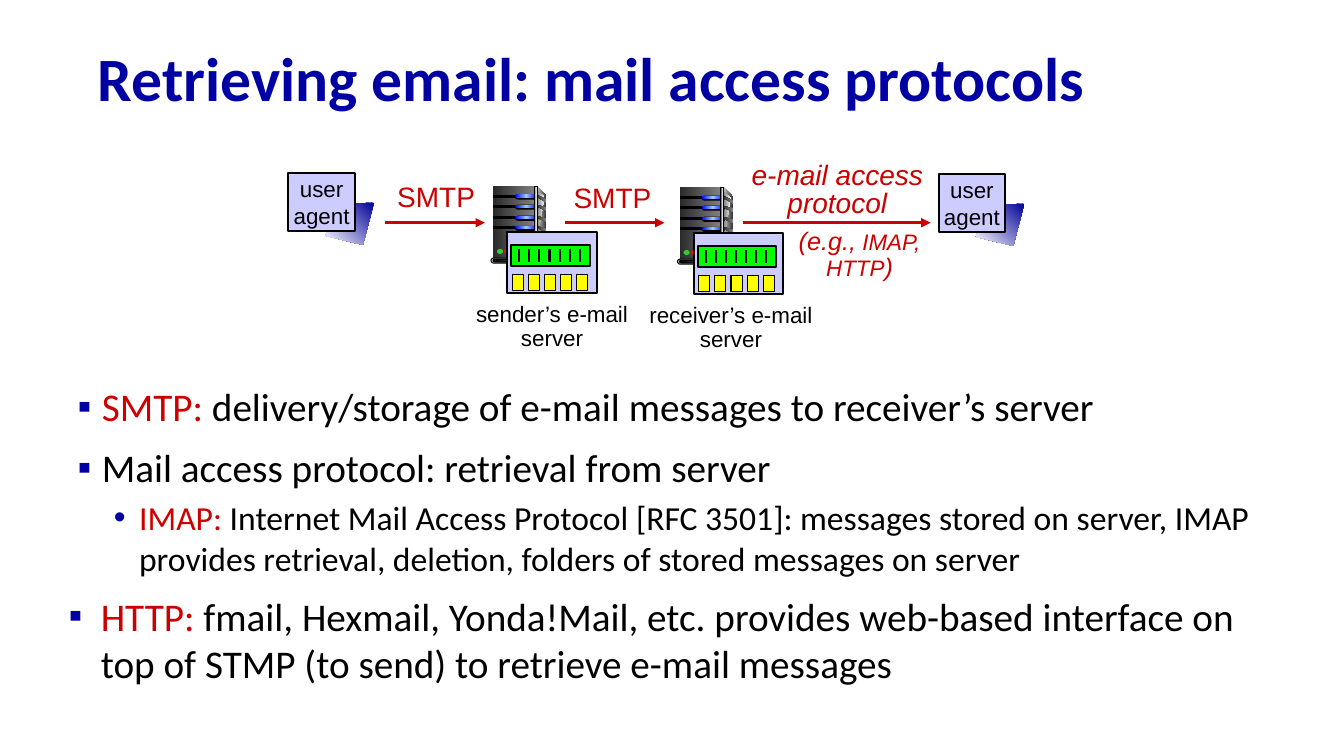
"""Build the slide on retrieving email with mail access protocols."""
from copy import deepcopy
from dataclasses import dataclass

from lxml import etree
from pptx import Presentation
from pptx.dml.color import RGBColor
from pptx.enum import shapes, text
from pptx.oxml.ns import qn
from pptx.util import Inches, Pt


@dataclass(frozen=True)
class Theme:
    """Colours, fonts and type sizes."""
    navy: str = "0000A3"
    red: str = "CC0000"
    black: str = "000000"
    lilac: str = "CCCCFF"
    green: str = "00FF00"
    yellow: str = "FFFF00"
    silver: str = "DDDDDD"
    graphite: str = "292929"
    steel: tuple = ("292929", "808080")
    side: tuple = ("DDDDDD", "333333")
    shine: tuple = ("808080", "F8F8F8")
    edge: tuple = ("333333", "DDDDDD", "333333")
    light: tuple = ("0000FF", "99CCFF", "0000FF")
    base: tuple = ("000000", "808080")
    fade: tuple = ("000099", "FFFFFF")
    heading: str = "Calibri"
    label: str = "Arial"
    title_size: int = 44
    bullet_size: int = 28
    detail_size: int = 24
    protocol_size: int = 20
    example_size: int = 18
    label_size: int = 16


THEME = Theme()
RECT = shapes.MSO_SHAPE.RECTANGLE
ROUND = shapes.MSO_SHAPE.ROUNDED_RECTANGLE
OVAL = shapes.MSO_SHAPE.OVAL

TITLE = "Retrieving email: mail access protocols"
BULLETS = [
    (0, "▪", 0.39, -0.24, "SMTP:",
     " delivery/storage of e-mail messages to receiver’s server"),
    (0, "▪", 0.39, -0.24, "", "Mail access protocol: retrieval from server"),
    (1, "•", 0.76, -0.25, "IMAP:",
     " Internet Mail Access Protocol [RFC 3501]: messages stored on server, "
     "IMAP provides retrieval, deletion, folders of stored messages on server"),
    (0, "▪", 0.38, -0.32, "HTTP: ",
     "fmail, Hexmail, Yonda!Mail, etc. provides web-based interface on "
     "top of STMP (to send) to retrieve e-mail messages"),
]
SERVERS = [(4.87, 1.85), (6.72, 1.86)]
AGENTS = [(2.86, 1.72), (9.31, 1.73)]
ARROWS = [(3.82, 4.81), (5.6, 6.59), (7.37, 9.23)]
ARROW_Y = 2.21
SERVER_LABELS = [
    ((4.55, 2.96, 1.85, 0.59), ["sender’s e-mail", "server"]),
    ((6.27, 2.97, 1.96, 0.59), ["receiver’s e-mail", "server"]),
]
SMTP_LABELS = [(3.84, 1.73, 0.97, 0.43), (5.59, 1.74, 0.97, 0.43)]
ACCESS_LABEL = ((7.33, 1.56, 1.95, 0.67), ["e-mail access", "protocol"])
EXAMPLE_BOX = (7.73, 2.23, 1.59, 0.62)
EXAMPLE_RUNS = [("(e.g.,", THEME.example_size),
                (" IMAP, HTTP", THEME.label_size), (")", THEME.example_size)]

SIDE = [(0.46, 0), (0.55, 0.09), (0.55, 0.7), (0.44, 0.73)]
SHINE = [(0.46, 0.05), (0.53, 0.1), (0.48, 0.4), (0.46, 0.71)]
SLOTS = [(0.08, 0.05), (0.18, 0.03), (0.29, 0.03), (0.39, 0.03)]
TOWER_FOOT = [
    (RECT, (0.43, 0, 0.03, 0.72), THEME.edge, 0.75),
    (ROUND, (0, 0.71, 0.47, 0.05), THEME.silver, 0.75),
    (ROUND, (0.02, 0.72, 0.42, 0.03), THEME.base, 0.75),
    (OVAL, (0.06, 0.62, 0.06, 0.05), "33CC33", 0),
    (OVAL, (0.13, 0.62, 0.06, 0.05), "FF0000", 0),
    (RECT, (0.36, 0.45, 0.03, 0.24), THEME.graphite, 0.75),
]
AGENT_SCREEN = [(0.85, 0.29), (0.45, 0.31), (0.37, 0.62), (0.74, 0.71)]


def color(value):
    return RGBColor.from_string(value)


def paint(shape, fill, line_width=0, angle=0):
    shape.shadow.inherit = False
    if isinstance(fill, str):
        shape.fill.solid()
        shape.fill.fore_color.rgb = color(fill)
    else:
        shape.fill.gradient()
        shape.fill.gradient_angle = angle
        stops = shape._element.spPr.find(".//" + qn("a:gsLst"))
        for _ in fill[2:]:
            stops.append(deepcopy(stops[-1]))
        for index, stop in enumerate(shape.fill.gradient_stops):
            stop.position = index / (len(fill) - 1)
            stop.color.rgb = color(fill[index])
    if line_width:
        shape.line.color.rgb = color(THEME.black)
        shape.line.width = Pt(line_width)
    else:
        shape.line.fill.background()


def add_part(slide, origin, kind, box, fill, line_width=0):
    left, top, width, height = box
    shape = slide.shapes.add_shape(kind, Inches(origin[0] + left), Inches(origin[1] + top),
                                   Inches(width), Inches(height))
    if kind == ROUND:
        shape.adjustments[0] = 0.5
    paint(shape, fill, line_width)
    return shape


def add_outline(slide, origin, points, fill, angle=0):
    corners = [(Inches(origin[0] + x), Inches(origin[1] + y)) for x, y in points]
    builder = slide.shapes.build_freeform(*corners[0])
    builder.add_line_segments(corners[1:], close=True)
    paint(builder.convert_to_shape(), fill, angle=angle)


def add_line(slide, start, end, line_color, width, arrow=False):
    connector = slide.shapes.add_connector(shapes.MSO_CONNECTOR.STRAIGHT,
                                           *map(Inches, start + end))
    connector.line.color.rgb = color(line_color)
    connector.line.width = Pt(width)
    properties = connector._element.spPr
    if arrow:
        etree.SubElement(properties.find(qn("a:ln")), qn("a:tailEnd"), type="triangle")
    etree.SubElement(properties, qn("a:effectLst"))


def style(font, name, size, font_color, italic=False):
    font.name, font.size, font.italic = name, Pt(size), italic
    font.color.rgb = color(font_color)


def write_lines(frame, lines, size, font_color, spacing=1.0, italic=False):
    frame.text = "\n".join(lines)
    for paragraph in frame.paragraphs:
        paragraph.alignment = text.PP_ALIGN.CENTER
        paragraph.line_spacing = spacing
        style(paragraph.font, THEME.label, size, font_color, italic)


def add_label(slide, box, wrap=False):
    frame = slide.shapes.add_textbox(*map(Inches, box)).text_frame
    frame.word_wrap = wrap
    return frame


def add_tower(slide, origin):
    add_outline(slide, origin, SIDE, THEME.side)
    add_part(slide, origin, RECT, (0.02, 0, 0.41, 0.72), THEME.steel)
    add_outline(slide, origin, SHINE, THEME.shine)
    for y, drop in SLOTS:
        add_part(slide, origin, RECT, (0.03, y + 0.01, 0.23, 0.02), THEME.black, 0.75)
        add_part(slide, origin, ROUND, (0.24, y, 0.23, 0.05), THEME.black)
        add_part(slide, origin, ROUND, (0.24, y, 0.22, 0.03), THEME.light)
        louver = [(0.45, y), (0.55, y + drop), (0.55, y + drop + 0.03), (0.45, y + 0.02)]
        add_outline(slide, origin, louver, THEME.steel)
    for kind, box, fill, line_width in TOWER_FOOT:
        add_part(slide, origin, kind, box, fill, line_width)


def add_mail_queue(slide, origin):
    add_part(slide, origin, RECT, (0.16, 0.45, 0.89, 0.61), THEME.lilac, 1.5)
    add_part(slide, origin, RECT, (0.2, 0.58, 0.78, 0.21), THEME.green, 1.5)
    for index in range(7):
        x = origin[0] + 0.28 + 0.1 * index
        add_line(slide, (x, origin[1] + 0.62), (x, origin[1] + 0.75), THEME.black, 1.5)
    for index in range(5):
        add_part(slide, origin, RECT, (0.21 + 0.16 * index, 0.87, 0.11, 0.16),
                 THEME.yellow, 0.75)


def add_agent(slide, origin):
    add_outline(slide, origin, AGENT_SCREEN, THEME.fade, angle=225)
    frame = add_part(slide, origin, RECT, (0, 0, 0.66, 0.57), THEME.lilac, 1.5).text_frame
    frame.margin_left = frame.margin_right = frame.margin_top = frame.margin_bottom = 0
    frame.word_wrap = False
    write_lines(frame, ["user", "agent"], THEME.label_size, THEME.black)


def place(shape, left, top, width, height):
    shape.left, shape.top = Inches(left), Inches(top)
    shape.width, shape.height = Inches(width), Inches(height)
    shape.text_frame.auto_size = text.MSO_AUTO_SIZE.NONE
    return shape.text_frame


def fill_title(frame):
    frame.text = TITLE
    frame.vertical_anchor = text.MSO_ANCHOR.MIDDLE
    paragraph = frame.paragraphs[0]
    paragraph.alignment, paragraph.line_spacing = text.PP_ALIGN.LEFT, 0.9
    style(paragraph.font, THEME.heading, THEME.title_size, THEME.navy)
    paragraph.font.bold = True


def fill_body(frame):
    for index, (level, mark, margin, indent, term, detail) in enumerate(BULLETS):
        paragraph = frame.add_paragraph() if index else frame.paragraphs[0]
        paragraph.level = level
        properties = paragraph._p.get_or_add_pPr()
        properties.set("marL", str(Inches(margin)))
        properties.set("indent", str(Inches(indent)))
        bullet_color = etree.SubElement(properties, qn("a:buClr"))
        etree.SubElement(bullet_color, qn("a:srgbClr"), val=THEME.navy)
        etree.SubElement(properties, qn("a:buFont"), typeface=THEME.label)
        etree.SubElement(properties, qn("a:buChar"), char=mark)
        paragraph.space_before = Pt((5 if level else 10) if index else 0)
        size = THEME.detail_size if level else THEME.bullet_size
        style(paragraph.font, THEME.heading, size, THEME.black)
        for content, run_color in ((term, THEME.red), (detail, THEME.black)):
            if content:
                run = paragraph.add_run()
                run.text = content
                run.font.color.rgb = color(run_color)


def main():
    presentation = Presentation()
    presentation.slide_width, presentation.slide_height = Inches(13.33), Inches(7.5)
    slide = presentation.slides.add_slide(presentation.slide_layouts[1])
    fill_title(place(slide.shapes.title, 0.87, 0.32, 11.5, 0.98))
    fill_body(place(slide.placeholders[1], 0.52, 3.74, 12.3, 3.44))
    for origin in SERVERS:
        add_tower(slide, origin)
        add_mail_queue(slide, origin)
    for origin in AGENTS:
        add_agent(slide, origin)
    for start, end in ARROWS:
        add_line(slide, (start, ARROW_Y), (end, ARROW_Y), THEME.red, 2.25, arrow=True)
    for box, lines in SERVER_LABELS:
        write_lines(add_label(slide, box), lines, THEME.label_size, THEME.black, 0.9)
    for box in SMTP_LABELS:
        write_lines(add_label(slide, box), ["SMTP"], THEME.protocol_size, THEME.red)
    box, lines = ACCESS_LABEL
    write_lines(add_label(slide, box, True), lines, THEME.protocol_size, THEME.red, 0.85, True)
    example = add_label(slide, EXAMPLE_BOX, True)
    write_lines(example, [""], THEME.example_size, THEME.red, 0.85, True)
    for content, size in EXAMPLE_RUNS:
        run = example.paragraphs[0].add_run()
        run.text, run.font.size = content, Pt(size)
    presentation.save("out.pptx")


if __name__ == "__main__":
    main()
